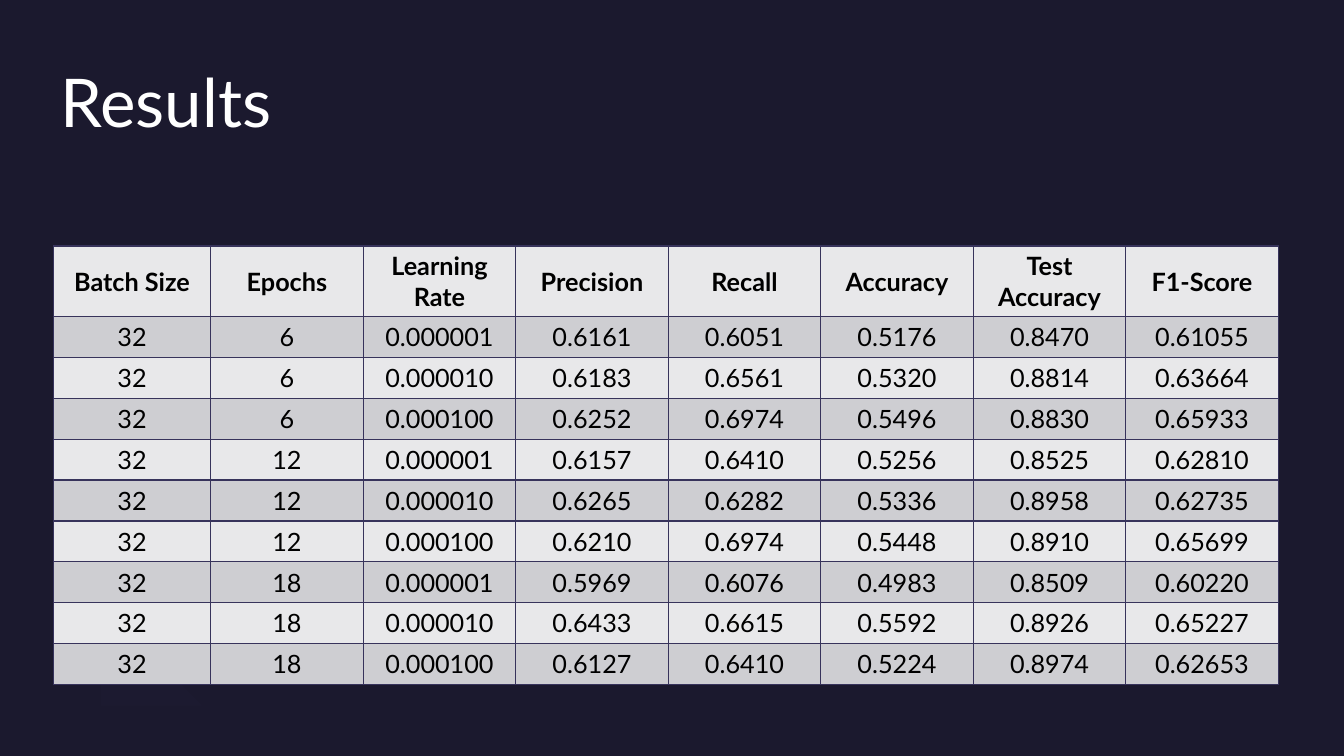
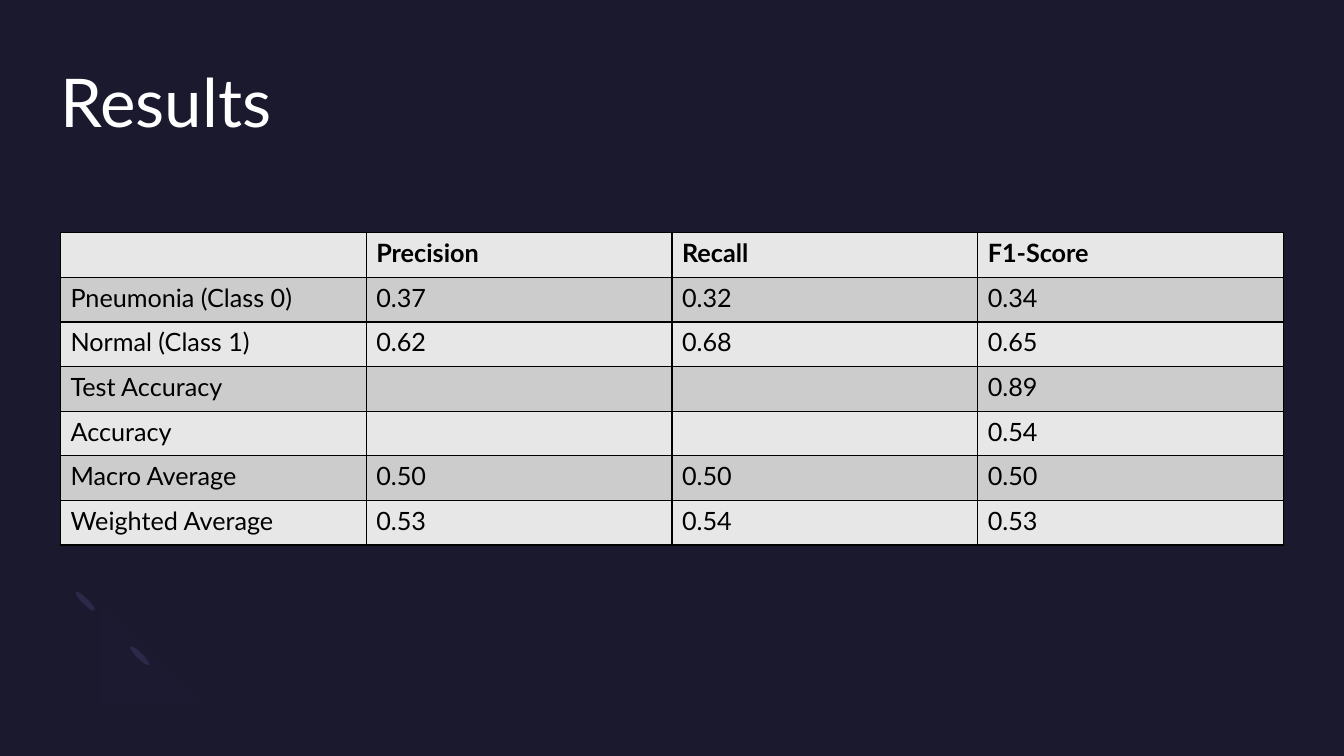
from math import cos, pi, sin, sqrt

from lxml import etree
from pptx import Presentation
from pptx.dml.color import RGBColor
from pptx.enum.shapes import MSO_SHAPE
from pptx.enum.text import MSO_ANCHOR, MSO_AUTO_SIZE, PP_ALIGN
from pptx.oxml.ns import qn
from pptx.util import Inches, Pt

LEFT, CENTER = PP_ALIGN.LEFT, PP_ALIGN.CENTER
TOP, MIDDLE = MSO_ANCHOR.TOP, MSO_ANCHOR.MIDDLE
NO_AUTOFIT = MSO_AUTO_SIZE.NONE
ELLIPSE = MSO_SHAPE.OVAL

SLIDE_WIDTH, SLIDE_HEIGHT = 13.33, 7.5
TITLE_ONLY = 5
FONT = "Lato"
COLORS = {
    "background": "1B192E",
    "title": "FFFFFF",
    "text": "000000",
    "crescent": "7771B2",
    "crescent_tip": "2C284A",
}
TITLE_BOX = (0.6, 0.6, 12.13, 1.46)
CRESCENT_BOX = (0.66, 5.68, 1.01, 1.01)

TRAINING_STYLE = {
    "box": (0.53, 2.44, 12.15, 4.35), "first_column": 1.56, "header_height": 0.7,
    "bands": ("E8E8EA", "CECED2"), "border": "37335B",
    "align": CENTER, "anchor": MIDDLE,
}
CLASS_STYLE = {
    "box": (0.6, 2.31, 12.13, 3.1), "first_column": 12.13 / 4, "header_height": 3.1 / 7,
    "bands": ("E7E7E7", "CCCCCC"), "border": "000000",
    "align": LEFT, "anchor": TOP,
}
TRAINING_ROWS = [
    ("Batch Size", "Epochs", "Learning Rate", "Precision", "Recall", "Accuracy",
     "Test Accuracy", "F1-Score"),
    ("32", "6", "0.000001", "0.6161", "0.6051", "0.5176", "0.8470", "0.61055"),
    ("32", "6", "0.000010", "0.6183", "0.6561", "0.5320", "0.8814", "0.63664"),
    ("32", "6", "0.000100", "0.6252", "0.6974", "0.5496", "0.8830", "0.65933"),
    ("32", "12", "0.000001", "0.6157", "0.6410", "0.5256", "0.8525", "0.62810"),
    ("32", "12", "0.000010", "0.6265", "0.6282", "0.5336", "0.8958", "0.62735"),
    ("32", "12", "0.000100", "0.6210", "0.6974", "0.5448", "0.8910", "0.65699"),
    ("32", "18", "0.000001", "0.5969", "0.6076", "0.4983", "0.8509", "0.60220"),
    ("32", "18", "0.000010", "0.6433", "0.6615", "0.5592", "0.8926", "0.65227"),
    ("32", "18", "0.000100", "0.6127", "0.6410", "0.5224", "0.8974", "0.62653"),
]
CLASS_ROWS = [
    ("", "Precision", "Recall", "F1-Score"),
    ("Pneumonia (Class 0)", "0.37", "0.32", "0.34"),
    ("Normal (Class 1)", "0.62", "0.68", "0.65"),
    ("Test Accuracy", "", "", "0.89"),
    ("Accuracy", "", "", "0.54"),
    ("Macro Average", "0.50", "0.50", "0.50"),
    ("Weighted Average", "0.53", "0.54", "0.53"),
]


def rgb(value):
    """Turn a hex string into a colour."""
    return RGBColor.from_string(value)


def write_text(frame, text, size=18, color="text", bold=False, align=LEFT):
    """Write one formatted paragraph into a text frame."""
    paragraph = frame.paragraphs[0]
    paragraph.alignment = align
    if not text:
        return
    run = paragraph.add_run()
    run.text = text
    run.font.name, run.font.size, run.font.bold = FONT, Pt(size), bold
    run.font.color.rgb = rgb(COLORS[color])


def paint(shape, color, opacity=100):
    """Give a shape a plain fill without line or shadow."""
    shape.shadow.inherit = False
    shape.line.fill.background()
    shape.fill.solid()
    shape.fill.fore_color.rgb = rgb(COLORS[color])
    if opacity < 100:
        fill_color = shape.element.spPr.find(f"{qn('a:solidFill')}/{qn('a:srgbClr')}")
        etree.SubElement(fill_color, qn("a:alpha"), val=str(opacity * 1000))


def arc_points(center, width, depth, steps=24):
    """List the points of a half ellipse that opens to the upper right."""
    points = []
    for step in range(steps + 1):
        angle = pi * step / steps
        along, down = width * cos(angle), depth * sin(angle)
        points.append((center[0] + (along - down) / sqrt(2),
                       center[1] + (along + down) / sqrt(2)))
    return points


def add_crescent(slide, box):
    """Draw a faint half ring with an ellipse at each tip and return the shapes."""
    left, top, width, height = box
    center = (left + width / 2, top + height / 2)
    outer = arc_points(center, width / 2, width * 0.57)
    inner = arc_points(center, width / 4, width * 0.285)
    outline = outer + inner[::-1]
    builder = slide.shapes.build_freeform(*outline[0], scale=Inches(1))
    builder.add_line_segments(outline[1:], close=True)
    ring = builder.convert_to_shape()
    paint(ring, "crescent", opacity=2)
    shapes = [ring]
    tip_width, tip_height = 0.06, 0.26
    for side in (-1, 1):
        tip_left = center[0] - 0.05 + side * 0.27 - tip_width / 2
        tip_top = center[1] + 0.05 + side * 0.27 - tip_height / 2
        tip = slide.shapes.add_shape(ELLIPSE, Inches(tip_left), Inches(tip_top),
                                     Inches(tip_width), Inches(tip_height))
        tip.rotation = 135
        paint(tip, "crescent_tip")
        shapes.append(tip)
    return shapes


def move_to_layout(shapes, layout):
    """Move shapes from a slide to the layout its slides share."""
    for number, shape in enumerate(shapes, start=100):
        shape.element.find(f".//{qn('p:cNvPr')}").set("id", str(number))
        layout.shapes.element.append(shape.element)


def add_title(slide, text, box):
    """Place and format the title placeholder."""
    title = slide.shapes.title
    title.left, title.top, title.width, title.height = map(Inches, box)
    frame = title.text_frame
    frame.margin_left = frame.margin_top = frame.margin_right = frame.margin_bottom = 0
    frame.word_wrap, frame.auto_size = True, NO_AUTOFIT
    frame.vertical_anchor = TOP
    write_text(frame, text, size=48, color="title")


def add_borders(cell, color):
    """Draw a one point line on all four sides of a cell."""
    properties = cell._tc.get_or_add_tcPr()
    for side in ("lnL", "lnR", "lnT", "lnB"):
        line = etree.SubElement(properties, qn(f"a:{side}"), w=str(Pt(1)))
        fill = etree.SubElement(line, qn("a:solidFill"))
        etree.SubElement(fill, qn("a:srgbClr"), val=color)


def add_results_table(slide, rows, box, first_column, header_height, bands, border,
                      align, anchor):
    """Fill a box with a bordered table whose rows alternate in colour."""
    width, height = box[2:]
    column_count = len(rows[0])
    frame = slide.shapes.add_table(len(rows), column_count, *map(Inches, box))
    table = frame.table
    table.first_row = table.horz_banding = False
    for index, column in enumerate(table.columns):
        other_width = (width - first_column) / (column_count - 1)
        column.width = Inches(other_width if index else first_column)
    for index, row in enumerate(table.rows):
        other_height = (height - header_height) / (len(rows) - 1)
        row.height = Inches(other_height if index else header_height)
        for cell, text in zip(row.cells, rows[index]):
            add_borders(cell, border)
            cell.fill.solid()
            cell.fill.fore_color.rgb = rgb(bands[index % 2])
            cell.vertical_anchor = anchor
            write_text(cell.text_frame, text, bold=index == 0, align=align)


def add_results_slide(presentation, layout, rows, style):
    """Add a slide with a title and one results table."""
    slide = presentation.slides.add_slide(layout)
    add_title(slide, "Results", TITLE_BOX)
    add_results_table(slide, rows, **style)
    return slide


def main():
    """Build and save the presentation."""
    presentation = Presentation()
    presentation.slide_width = Inches(SLIDE_WIDTH)
    presentation.slide_height = Inches(SLIDE_HEIGHT)
    layout = presentation.slide_layouts[TITLE_ONLY]
    layout.background.fill.solid()
    layout.background.fill.fore_color.rgb = rgb(COLORS["background"])
    first_slide = add_results_slide(presentation, layout, TRAINING_ROWS, TRAINING_STYLE)
    move_to_layout(add_crescent(first_slide, CRESCENT_BOX), layout)
    add_results_slide(presentation, layout, CLASS_ROWS, CLASS_STYLE)
    presentation.save("out.pptx")


if __name__ == "__main__":
    main()
